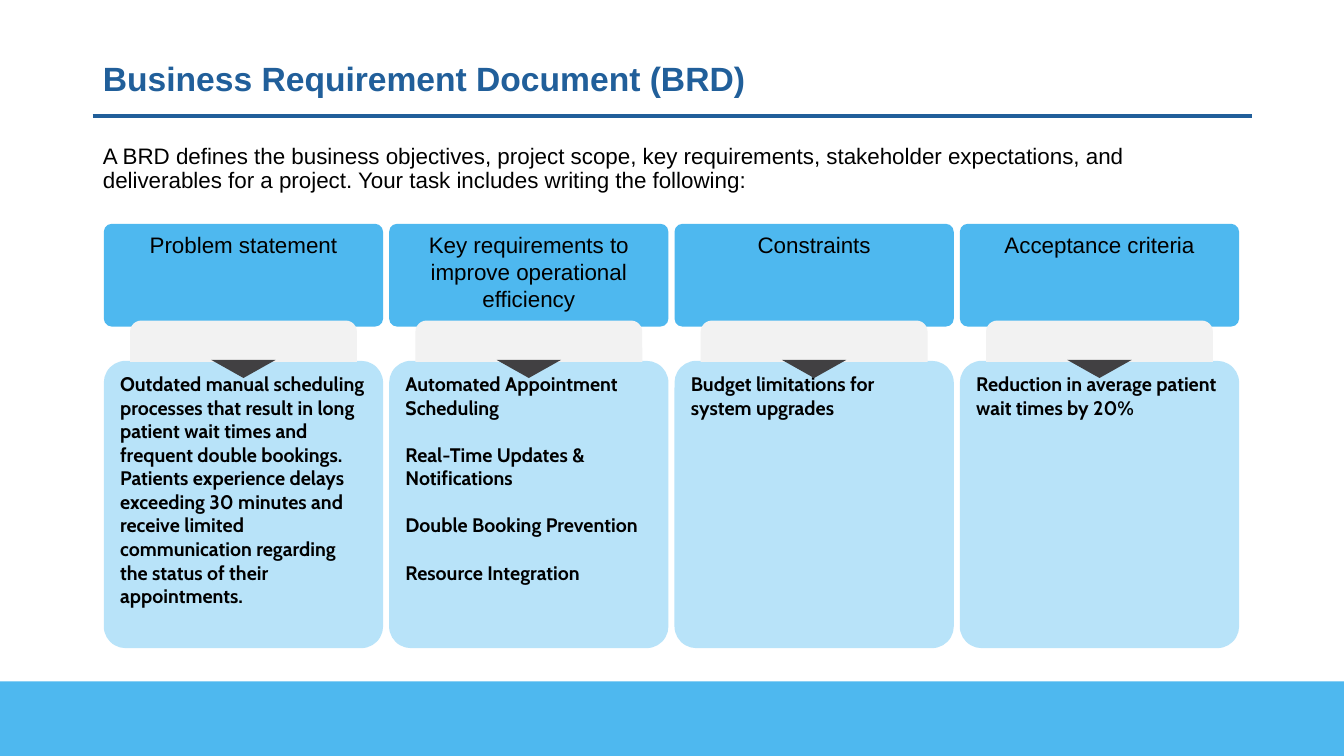
"""Builds a slide that outlines the parts of a Business Requirement Document."""
from dataclasses import dataclass

from lxml.etree import SubElement
from pptx import Presentation
from pptx.dml.color import RGBColor
from pptx.enum.shapes import MSO_CONNECTOR, MSO_SHAPE
from pptx.enum.text import MSO_ANCHOR, MSO_AUTO_SIZE, PP_ALIGN
from pptx.oxml.ns import qn
from pptx.util import Inches, Pt


@dataclass(frozen=True)
class Theme:
    navy: str = "215F9A"
    blue: str = "4EB8EF"
    pale: str = "B8E3F9"
    grey: str = "F2F2F2"
    charcoal: str = "414042"
    black: str = "000000"
    main_font: str = "Arial"
    card_font: str = "Cabin"
    title_size: int = 24
    text_size: int = 16
    card_size: int = 14


COLUMNS = [
    ("Problem statement", 0, [
        "Outdated manual scheduling processes that result in long patient wait times "
        "and frequent double bookings.",
        "Patients experience delays exceeding 30 minutes and receive limited "
        "communication regarding the status of their appointments."]),
    ("Key requirements to improve operational efficiency", 16.8, [
        "Automated Appointment Scheduling",
        "Real-Time Updates & Notifications",
        "Double Booking Prevention",
        "Resource Integration"]),
    ("Constraints", 0, ["Budget limitations for system upgrades"]),
    ("Acceptance criteria", 0, ["Reduction in average patient wait times by 20%"]),
]
INTRO = ("A BRD defines the business objectives, project scope, key requirements, "
         "stakeholder expectations, and deliverables for a project. Your task includes "
         "writing the following:")
LEFT, PITCH, WIDTH = 1.03, 2.83, 2.77


class SlideBuilder:
    def __init__(self, slide, theme):
        self.slide = slide
        self.theme = theme

    def set_text(self, holder, lines, size, color, font, bold=False, anchor=MSO_ANCHOR.TOP,
                 **paragraph_format):
        frame = holder.text_frame
        frame.text = "\n".join(lines)
        frame_format = {"word_wrap": True, "auto_size": MSO_AUTO_SIZE.NONE,
                        "vertical_anchor": anchor}
        for name, value in frame_format.items():
            setattr(frame, name, value)
        for paragraph in frame.paragraphs:
            for name, value in paragraph_format.items():
                setattr(paragraph, name, value)
            for run in paragraph.runs:
                for name, value in {"size": Pt(size), "name": font, "bold": bold}.items():
                    setattr(run.font, name, value)
                run.font.color.rgb = RGBColor.from_string(color)

    def place(self, holder, left, top, width, height):
        box = {"left": left, "top": top, "width": width, "height": height}
        for name, value in box.items():
            setattr(holder, name, Inches(value))

    def title(self, text):
        heading = self.slide.shapes.title
        self.place(heading, 0.92, 0.4, 11.5, 0.79)
        self.set_text(heading, [text], self.theme.title_size, self.theme.navy,
                      self.theme.main_font, bold=True, anchor=MSO_ANCHOR.MIDDLE,
                      alignment=PP_ALIGN.LEFT, line_spacing=0.9)

    def intro(self, text):
        body = self.slide.placeholders[1]
        self.place(body, 0.92, 1.39, 11.5, 0.97)
        self.set_text(body, [text], self.theme.text_size, self.theme.black,
                      self.theme.main_font, line_spacing=0.9, space_before=Pt(10))
        properties = body.text_frame.paragraphs[0]._p.get_or_add_pPr()
        for name in ("marL", "indent"):
            properties.set(name, "0")
        SubElement(properties, qn("a:buNone"))

    def shape(self, kind, left, top, width, height, fill, adjustments=()):
        figure = self.slide.shapes.add_shape(
            kind, Inches(left), Inches(top), Inches(width), Inches(height))
        for index, value in enumerate(adjustments):
            figure.adjustments[index] = value
        figure.shadow.inherit = False
        figure.fill.solid()
        figure.fill.fore_color.rgb = RGBColor.from_string(fill)
        figure.line.fill.background()
        return figure

    def rule(self, left, right, top):
        line = self.slide.shapes.add_connector(
            MSO_CONNECTOR.STRAIGHT, Inches(left), Inches(top), Inches(right), Inches(top))
        line.line.color.rgb = RGBColor.from_string(self.theme.navy)
        line.line.width = Pt(3)
        SubElement(line._element.spPr, qn("a:effectLst"))

    def column(self, left, heading, gap, details):
        theme = self.theme
        card = self.shape(MSO_SHAPE.ROUNDED_RECTANGLE, left, 3.58, WIDTH, 2.85,
                          theme.pale, [0.078])
        self.set_text(card, details, theme.card_size, theme.black, theme.card_font,
                      bold=True, alignment=PP_ALIGN.LEFT)
        for paragraph in card.text_frame.paragraphs[1:]:
            paragraph.space_before = Pt(gap)
        header = self.shape(MSO_SHAPE.ROUNDED_RECTANGLE, left, 2.22, WIDTH, 1.02,
                            theme.blue, [0.078])
        self.set_text(header, [heading], theme.text_size, theme.black, theme.main_font,
                      alignment=PP_ALIGN.CENTER)
        middle = left + WIDTH / 2
        self.shape(MSO_SHAPE.ROUND_2_SAME_RECTANGLE, middle - 1.125, 3.18, 2.25, 0.41,
                   theme.grey, [0.27, 0])
        self.shape(MSO_SHAPE.FLOWCHART_MERGE, middle - 0.32, 3.57, 0.64, 0.18,
                   theme.charcoal)


def main():
    deck = Presentation()
    deck.slide_width, deck.slide_height = Inches(13.33), Inches(7.5)
    builder = SlideBuilder(deck.slides.add_slide(deck.slide_layouts[1]), Theme())
    builder.title("Business Requirement Document (BRD)")
    builder.intro(INTRO)
    builder.shape(MSO_SHAPE.RECTANGLE, 0, 6.76, 13.33, 0.74, builder.theme.blue)
    for index, (heading, gap, details) in enumerate(COLUMNS):
        builder.column(LEFT + index * PITCH, heading, gap, details)
    builder.rule(0.92, 12.42, 1.15)
    deck.save("out.pptx")


if __name__ == "__main__":
    main()
